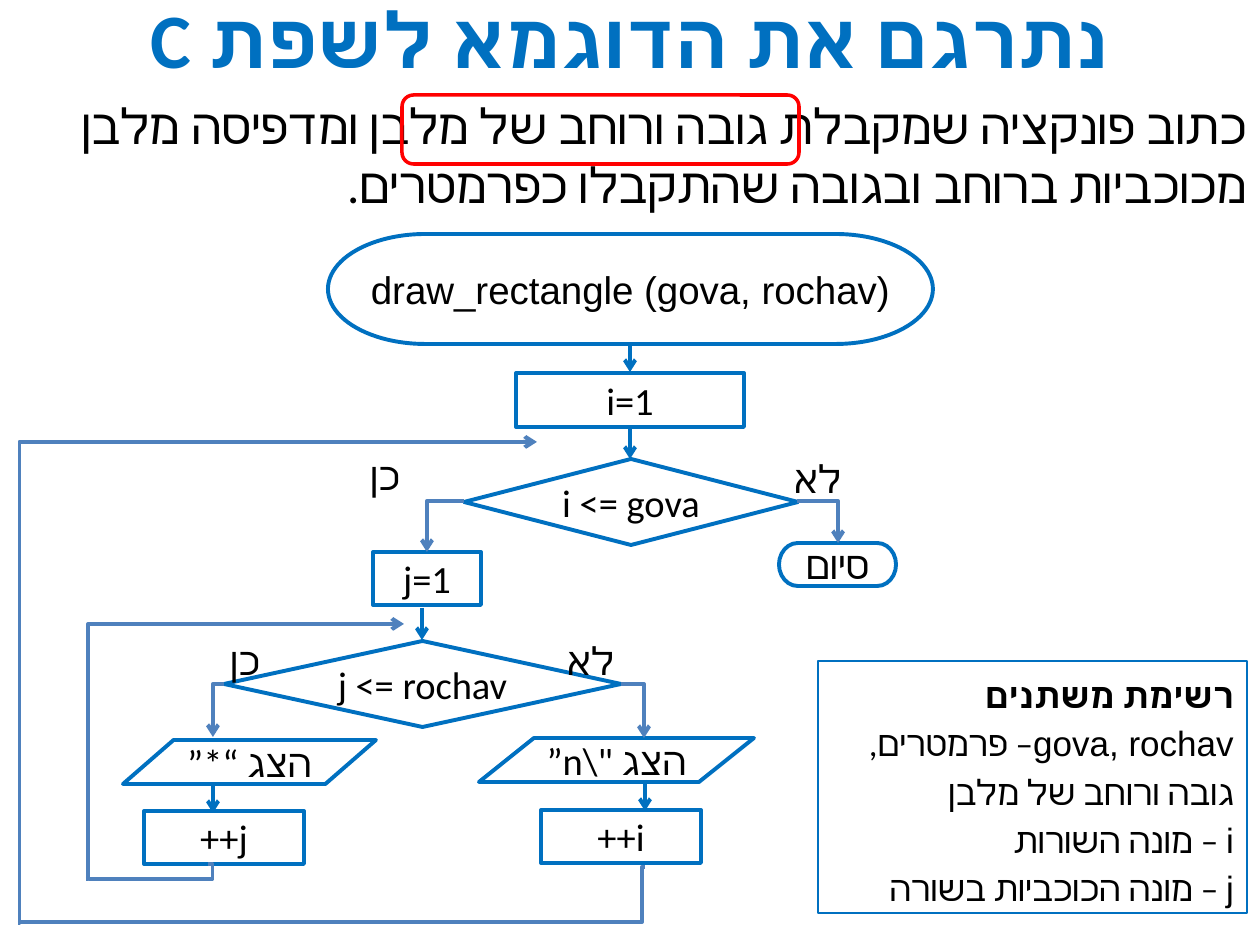
from lxml import etree
from pptx import Presentation
from pptx.dml.color import RGBColor
from pptx.enum.shapes import MSO_CONNECTOR, MSO_SHAPE
from pptx.enum.text import MSO_ANCHOR, PP_ALIGN
from pptx.oxml.ns import qn
from pptx.util import Emu, Pt

EMU_PER_PX = 914400 / 126
BLUE = RGBColor(0x00, 0x70, 0xC0)
STEEL = RGBColor(0x4F, 0x81, 0xBD)
RED = RGBColor(0xFF, 0x00, 0x00)
BLACK = RGBColor(0x00, 0x00, 0x00)
CENTER, RIGHT = PP_ALIGN.CENTER, PP_ALIGN.RIGHT
TOP, MIDDLE = MSO_ANCHOR.TOP, MSO_ANCHOR.MIDDLE
STRAIGHT, ELBOW = MSO_CONNECTOR.STRAIGHT, MSO_CONNECTOR.ELBOW
RECTANGLE = MSO_SHAPE.RECTANGLE
ROUNDED = MSO_SHAPE.ROUNDED_RECTANGLE
TERMINATOR = MSO_SHAPE.FLOWCHART_TERMINATOR
DECISION = MSO_SHAPE.FLOWCHART_DECISION
DATA = MSO_SHAPE.FLOWCHART_DATA

TITLE_FONT = {"size": Pt(44), "name": "Calibri", "bold": True}
TASK_FONT = {"size": Pt(28), "name": "Calibri"}
FLOW_FONT = {"size": Pt(22), "name": "Calibri"}
START_FONT = {"size": Pt(22), "name": "Arial"}
LEGEND_FONT = {"size": Pt(20), "name": "Arial"}

# text, preset, left, top, width, height, right to left
FLOW_STEPS = [
    ("i=1", RECTANGLE, 516, 373, 228, 54, True),
    ("i <= gova", DECISION, 464, 459, 334, 86, False),
    ("סיום", TERMINATOR, 779, 543, 117, 43, True),
    ("j=1", RECTANGLE, 373, 552, 108, 53, True),
    ("j <= rochav", DECISION, 224, 641, 397, 86, False),
    ("הצג “*”", DATA, 123, 740, 253, 44, True),
    ("j++", RECTANGLE, 144, 811, 160, 53, True),
    ("הצג \"\\n”", DATA, 479, 738, 275, 44, True),
    ("i++", RECTANGLE, 541, 810, 160, 53, True),
]
BRANCH_LABELS = [
    ("כן", 348, 446, 74),
    ("לא", 776, 449, 83),
    ("כן", 208, 631, 74),
    ("לא", 549, 631, 83),
]
# x, top, bottom
DOWN_ARROWS = [
    (630, 344, 372), (630, 427, 459), (422, 608, 640),
    (213, 783, 813), (645, 780, 811),
]
# begin x, begin y, end x, end y
BRANCHES = [
    (464, 501, 427, 552), (797, 501, 838, 543),
    (224, 684, 213, 737), (621, 684, 644, 738),
]
# begin x, begin y, end x, end y, bend in 1/100000 of the width, arrow
LOOPS = [
    (86, 879, 404, 624, 700, True),
    (208, 864, 89, 879, -3800, False),
    (18, 923, 537, 442, 300, True),
    (645, 867, 18, 922, 500, False),
]
LEGEND = [
    ("רשימת משתנים", True),
    ("gova, rochav– פרמטרים, גובה ורוחב של מלבן", False),
    ("i – מונה השורות", False),
    ("j – מונה הכוכביות בשורה", False),
]


def px(length):
    return Emu(round(length * EMU_PER_PX))


def box(left, top, width, height):
    return [px(length) for length in (left, top, width, height)]


def set_values(target, values):
    for name, value in values.items():
        setattr(target, name, value)


def write_paragraph(paragraph, text, font, color=BLACK, rtl=True, **layout):
    set_values(paragraph, layout)
    if rtl:
        paragraph._p.get_or_add_pPr().set("rtl", "1")
    run = paragraph.add_run()
    run.text = text
    set_values(run.font, font)
    run.font.color.rgb = color
    # Hebrew letters take the complex-script font.
    etree.SubElement(run._r.get_or_add_rPr(), qn("a:cs"), typeface="Calibri")


def prepare_frame(shape, anchor=MIDDLE, side_margin=0):
    frame = shape.text_frame
    set_values(frame, {
        "word_wrap": True, "vertical_anchor": anchor,
        "margin_left": px(side_margin), "margin_right": px(side_margin),
    })
    return frame


def add_text(slide, text, bounds, font, anchor=TOP, side_margin=0, **layout):
    text_box = slide.shapes.add_textbox(*box(*bounds))
    frame = prepare_frame(text_box, anchor, side_margin)
    write_paragraph(frame.paragraphs[0], text, font, **layout)


def add_outline(slide, preset, bounds, color=BLUE, width=2.25):
    shape = slide.shapes.add_shape(preset, *box(*bounds))
    shape.shadow.inherit = False
    shape.fill.background()
    shape.line.color.rgb = color
    shape.line.width = Pt(width)
    return shape


def add_step(slide, text, preset, bounds, rtl, font=FLOW_FONT):
    frame = prepare_frame(add_outline(slide, preset, bounds))
    write_paragraph(frame.paragraphs[0], text, font, rtl=rtl, alignment=CENTER)


def add_line(slide, kind, points, color, arrow=True):
    connector = slide.shapes.add_connector(kind, *[px(value) for value in points])
    connector.line.color.rgb = color
    connector.line.width = Pt(2.25)
    if arrow:
        line = connector.line._get_or_add_ln()
        etree.SubElement(line, qn("a:tailEnd"), type="arrow")
    etree.SubElement(connector._element.spPr, qn("a:effectLst"))
    return connector


def add_branch(slide, points):
    """Draw an arrow that goes sideways and then down."""
    connector = add_line(slide, ELBOW, points, STEEL)
    connector._element.spPr.find(qn("a:prstGeom")).set("prst", "bentConnector2")


def add_loop(slide, points, bend, arrow):
    """Draw a sideways, vertical, sideways line with its bend at a given place."""
    connector = add_line(slide, ELBOW, points, STEEL, arrow)
    geometry = connector._element.spPr.find(qn("a:prstGeom"))
    adjustments = geometry.find(qn("a:avLst"))
    if adjustments is None:
        adjustments = etree.SubElement(geometry, qn("a:avLst"))
    etree.SubElement(adjustments, qn("a:gd"), name="adj1", fmla=f"val {bend}")


def add_legend(slide):
    shape = add_outline(slide, RECTANGLE, (818, 661, 429, 252), width=0.75)
    frame = prepare_frame(shape, TOP, 13)
    for index, (text, bold) in enumerate(LEGEND):
        paragraph = frame.add_paragraph() if index else frame.paragraphs[0]
        write_paragraph(paragraph, text, {**LEGEND_FONT, "bold": bold},
                        alignment=RIGHT, line_spacing=1.15)


def main():
    presentation = Presentation()
    presentation.slide_width, presentation.slide_height = px(1260), px(945)
    slide = presentation.slides.add_slide(presentation.slide_layouts[6])

    add_text(slide, "נתרגם את הדוגמא לשפת C", (26, -14, 1208, 103), TITLE_FONT,
             anchor=MIDDLE, side_margin=9, color=BLUE, alignment=CENTER)
    add_text(slide, "כתוב פונקציה שמקבלת גובה ורוחב של מלבן ומדפיסה מלבן "
             "מכוכביות ברוחב ובגובה שהתקבלו כפרמטרים.", (0, 89, 1260, 131),
             TASK_FONT, side_margin=13, alignment=RIGHT, space_after=Pt(6))
    add_outline(slide, ROUNDED, (402, 95, 397, 69), RED, 2)
    add_legend(slide)

    add_step(slide, "draw_rectangle (gova, rochav)", TERMINATOR,
             (328, 234, 605, 110), False, START_FONT)
    for text, preset, *bounds, rtl in FLOW_STEPS:
        add_step(slide, text, preset, bounds, rtl)
    for text, left, top, width in BRANCH_LABELS:
        add_text(slide, text, (left, top, width, 59), FLOW_FONT, alignment=CENTER)

    for x, top, bottom in DOWN_ARROWS:
        add_line(slide, STRAIGHT, (x, top, x, bottom), BLUE)
    for points in BRANCHES:
        add_branch(slide, points)
    for *points, bend, arrow in LOOPS:
        add_loop(slide, points, bend, arrow)

    presentation.save("out.pptx")


if __name__ == "__main__":
    main()
